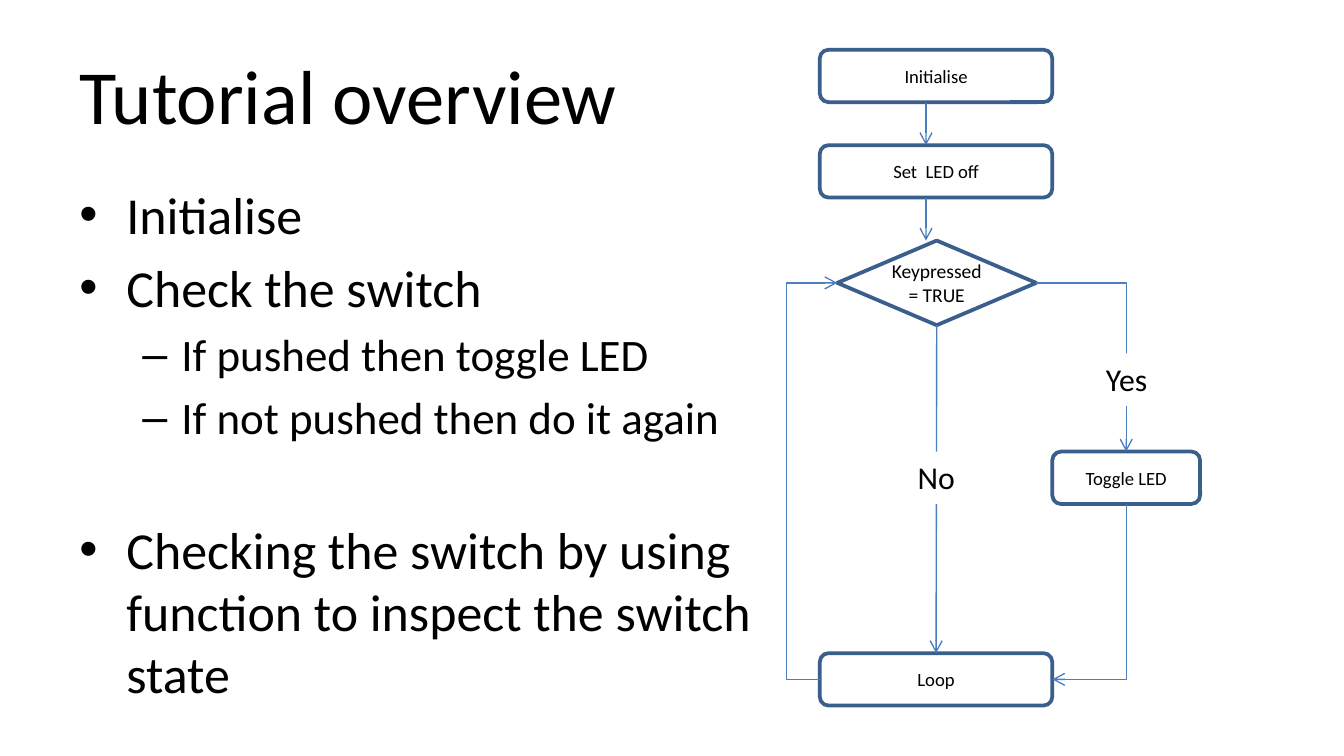
from dataclasses import dataclass

from pptx import Presentation
from pptx.dml.color import RGBColor
from pptx.enum.shapes import MSO_CONNECTOR, MSO_SHAPE
from pptx.enum.text import MSO_ANCHOR, MSO_AUTO_SIZE, PP_ALIGN
from pptx.oxml.ns import qn
from pptx.util import Inches, Pt
from lxml.etree import SubElement

TOP, LEFT, BOTTOM, RIGHT = range(4)


@dataclass(frozen=True)
class Theme:
    font: str = "Calibri"
    text: RGBColor = RGBColor(0, 0, 0)
    paper: RGBColor = RGBColor(255, 255, 255)
    outline: RGBColor = RGBColor(0x3A, 0x5F, 0x8C)
    arrow: RGBColor = RGBColor(0x4B, 0x7E, 0xBC)
    title_size: float = 41
    bullet_sizes: tuple = (27.8, 24.1)
    bullet_indents: tuple = ((0.35, -0.35), (0.76, -0.29))
    step_size: float = 10
    decision_size: float = 10.5
    label_size: float = 17


class FlowSlide:
    def __init__(self, slide, theme):
        self.slide = slide
        self.theme = theme

    def style(self, paragraph, size, alignment=PP_ALIGN.LEFT):
        paragraph.alignment = alignment
        paragraph.font.name = self.theme.font
        paragraph.font.size = Pt(size)
        paragraph.font.color.rgb = self.theme.text

    def place(self, shape, left, top, width, height):
        shape.left, shape.top = Inches(left), Inches(top)
        shape.width, shape.height = Inches(width), Inches(height)
        self.inset(shape.text_frame, 0.09, 0.05)

    def inset(self, frame, side, edge):
        frame.margin_left = frame.margin_right = Inches(side)
        frame.margin_top = frame.margin_bottom = Inches(edge)

    def title(self, text, *box):
        shape = self.slide.shapes.title
        self.place(shape, *box)
        shape.text_frame.text = text
        shape.text_frame.vertical_anchor = MSO_ANCHOR.MIDDLE
        self.style(shape.text_frame.paragraphs[0], self.theme.title_size)

    def bullets(self, items, *box):
        """Fill the body with (level, text, extra space before in points)."""
        shape = self.slide.placeholders[1]
        self.place(shape, *box)
        frame = shape.text_frame
        frame.auto_size = MSO_AUTO_SIZE.NONE
        for index, (level, text, gap) in enumerate(items):
            paragraph = frame.add_paragraph() if index else frame.paragraphs[0]
            paragraph.text = text
            paragraph.level = level
            size = self.theme.bullet_sizes[level]
            paragraph.space_before = Pt(0.2 * size + gap if index else 0)
            properties = paragraph._p.get_or_add_pPr()
            margin, indent = self.theme.bullet_indents[level]
            properties.set("marL", str(Inches(margin)))
            properties.set("indent", str(Inches(indent)))
            bullet = SubElement(properties, qn("a:buChar"))
            bullet.set("char", "•–"[level])
            self.style(paragraph, size)

    def node(self, kind, text, size, *box):
        shape = self.slide.shapes.add_shape(kind, *map(Inches, box))
        shape.shadow.inherit = False
        shape.fill.solid()
        shape.fill.fore_color.rgb = self.theme.paper
        shape.line.color.rgb = self.theme.outline
        shape.line.width = Pt(2)
        frame = shape.text_frame
        frame.text = text
        frame.vertical_anchor = MSO_ANCHOR.MIDDLE
        self.style(frame.paragraphs[0], size, PP_ALIGN.CENTER)
        return shape

    def step(self, text, left, top, width=1.73):
        return self.node(MSO_SHAPE.FLOWCHART_ALTERNATE_PROCESS, text,
                         self.theme.step_size, left, top, width, 0.39)

    def decision(self, text, *box):
        shape = self.node(MSO_SHAPE.FLOWCHART_DECISION, text,
                          self.theme.decision_size, *box)
        self.inset(shape.text_frame, 0, 0)
        return shape

    def arrow(self, kind=MSO_CONNECTOR.STRAIGHT, points=(0, 0, 0, 0), end="tailEnd"):
        connector = self.slide.shapes.add_connector(kind, *map(Inches, points))
        connector.line.color.rgb = self.theme.arrow
        connector.line.width = Pt(0.75)
        SubElement(connector.line._get_or_add_ln(), qn("a:" + end)).set("type", "arrow")
        SubElement(connector._element.spPr, qn("a:effectLst"))
        return connector

    def join(self, start, start_side, finish, finish_side, **options):
        connector = self.arrow(**options)
        connector.begin_connect(start, start_side)
        connector.end_connect(finish, finish_side)
        return connector

    def elbow(self, *ends, bend=None, end="tailEnd"):
        """Join with one corner, or with two when bend gives the middle leg's place."""
        connector = self.join(*ends, kind=MSO_CONNECTOR.ELBOW, end=end)
        geometry = connector._element.spPr.find(qn("a:prstGeom"))
        if bend is None:
            geometry.set("prst", "bentConnector2")
        else:
            ratio = (Inches(bend) - connector.begin_x) / (connector.end_x - connector.begin_x)
            guides = geometry.find(qn("a:avLst"))
            if guides is None:
                guides = SubElement(geometry, qn("a:avLst"))
            guide = SubElement(guides, qn("a:gd"))
            guide.set("name", "adj1")
            guide.set("fmla", f"val {round(ratio * 100000)}")

    def label(self, text, *box):
        shape = self.slide.shapes.add_textbox(*map(Inches, box))
        shape.fill.solid()
        shape.fill.fore_color.rgb = self.theme.paper
        shape.text_frame.text = text
        shape.text_frame.word_wrap = False
        shape.text_frame.auto_size = MSO_AUTO_SIZE.SHAPE_TO_FIT_TEXT
        self.style(shape.text_frame.paragraphs[0], self.theme.label_size)


def main():
    presentation = Presentation()
    presentation.slide_width = Inches(10)
    presentation.slide_height = Inches(10 * 9 / 16)
    slide = presentation.slides.add_slide(presentation.slide_layouts[1])
    flow = FlowSlide(slide, Theme())

    flow.title("Tutorial overview", 0.5, 0.23, 9, 0.94)
    flow.bullets([
        (0, "Initialise", 0),
        (0, "Check the switch", 0),
        (1, "If pushed then toggle LED", 0),
        (1, "If not pushed then do it again", 0),
        (0, "Checking the switch by using function to inspect the switch state", 34),
    ], 0.5, 1.31, 5.21, 3.71)

    flow.step("Initialise", 6.1, 0.37)
    flow.step("Set  LED off", 6.1, 1.08)
    keypress = flow.decision("Keypressed = TRUE", 6.23, 1.79, 1.48, 0.63)
    toggle = flow.step("Toggle LED", 7.83, 3.36, 1.1)
    loop = flow.step("Loop", 6.1, 4.86)

    for top, bottom in ((0.77, 1.08), (1.47, 1.79)):
        flow.arrow(points=(6.89, top, 6.89, bottom))
    flow.join(keypress, BOTTOM, loop, TOP)
    flow.elbow(loop, LEFT, keypress, LEFT, bend=5.85)
    flow.elbow(keypress, RIGHT, toggle, TOP)
    flow.elbow(loop, RIGHT, toggle, BOTTOM, end="headEnd")

    flow.label("No", 6.73, 3.36, 0.48, 0.39)
    flow.label("Yes", 8.13, 2.63, 0.51, 0.39)

    presentation.save("out.pptx")


if __name__ == "__main__":
    main()
